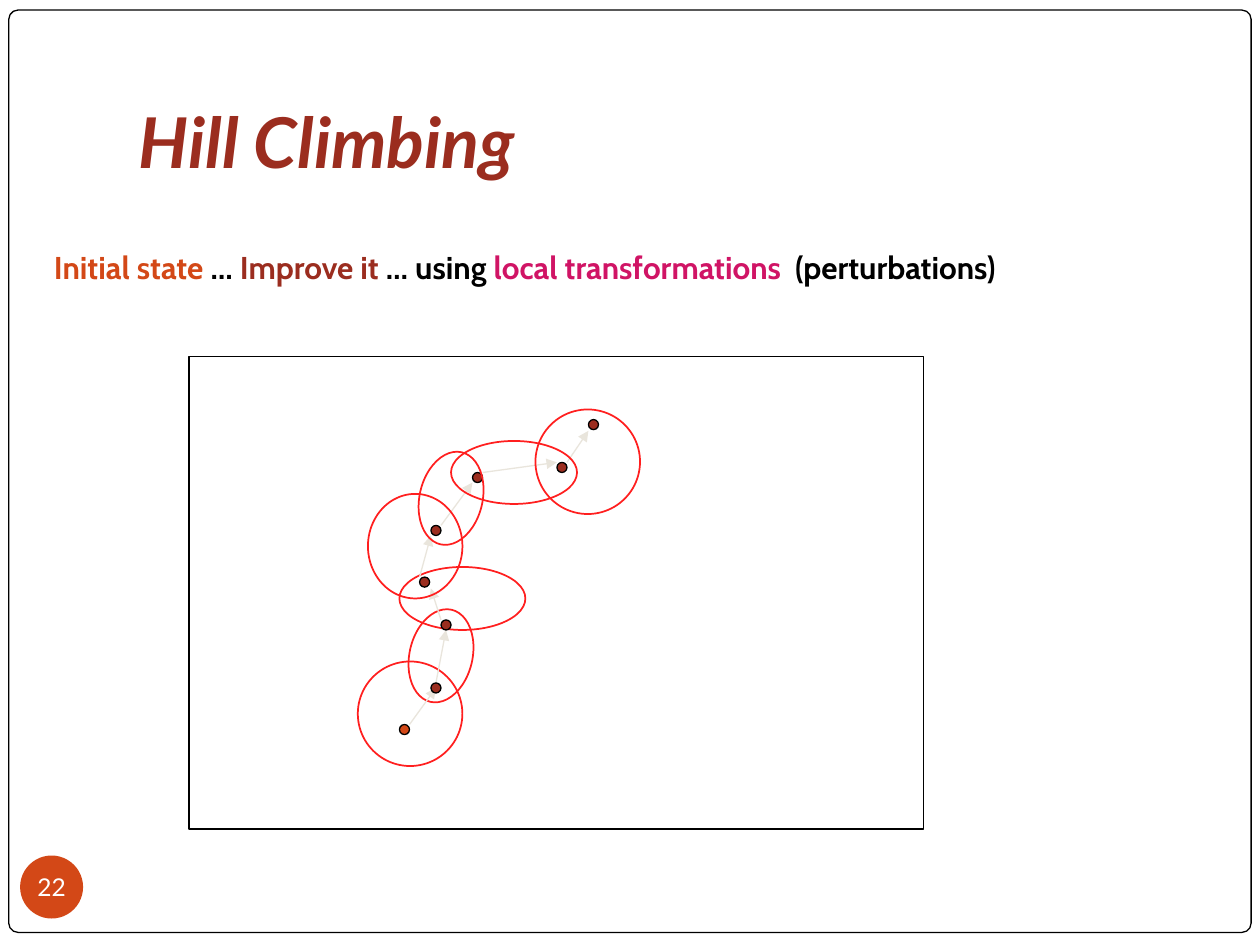
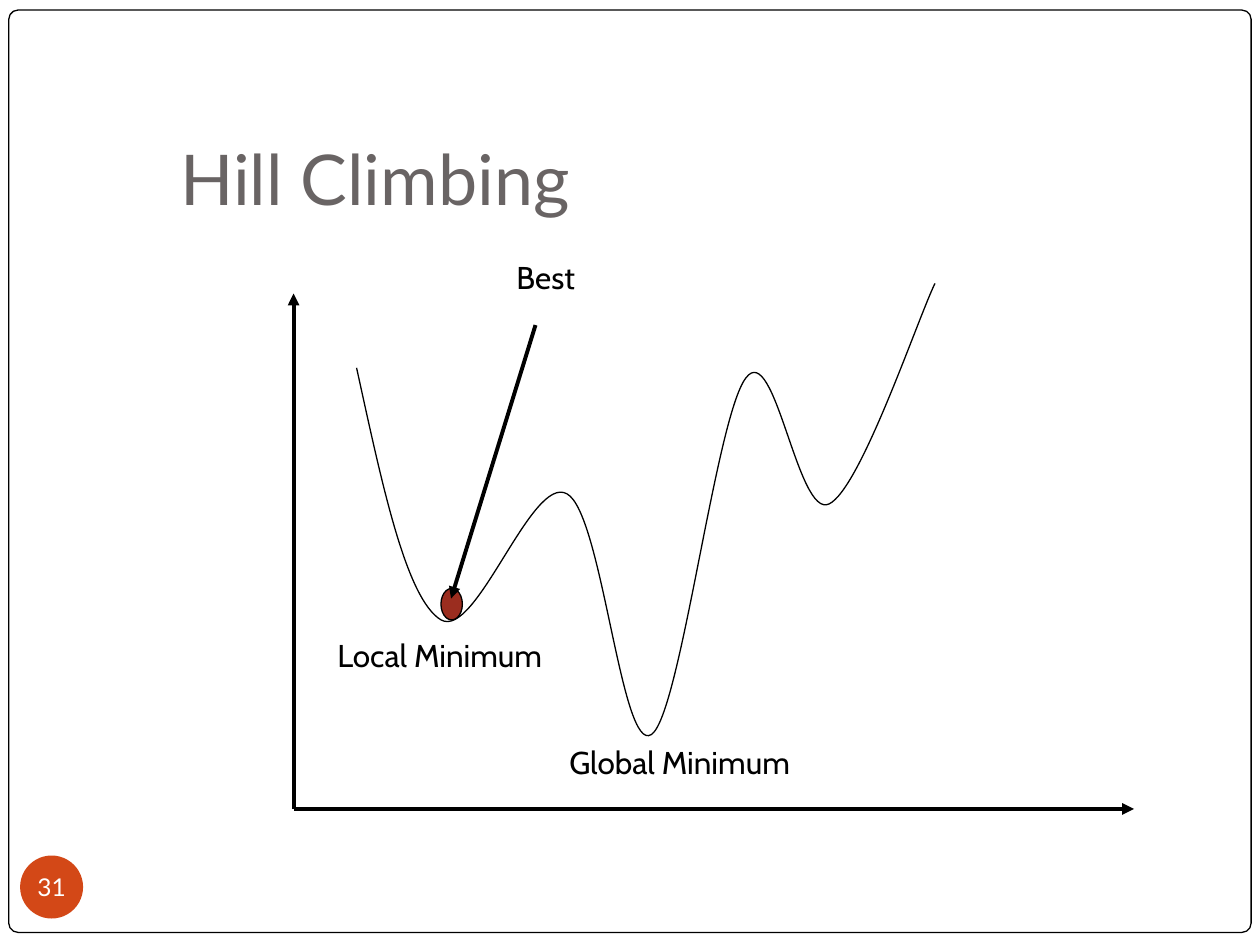
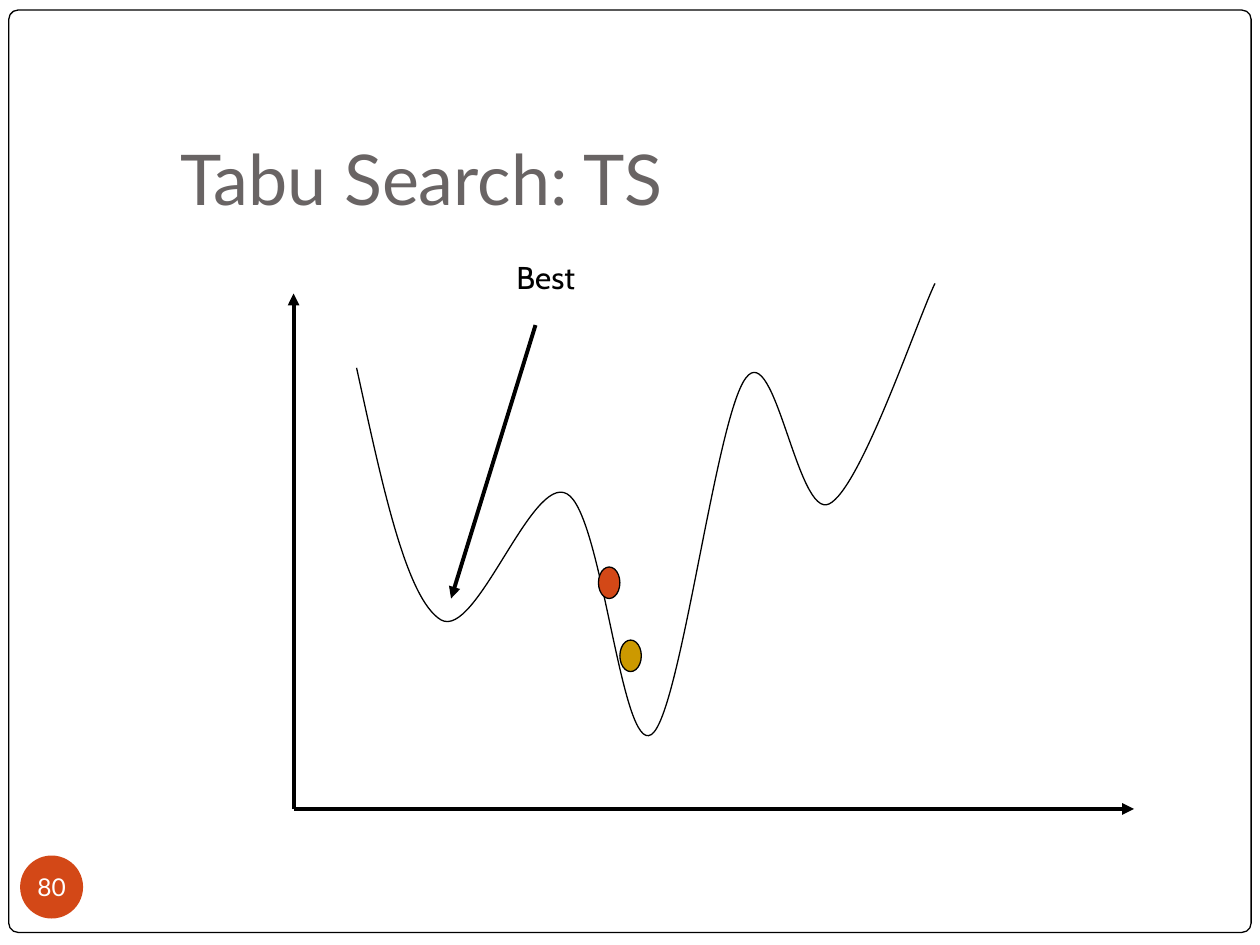
"""Build three slides on hill climbing and tabu search."""
import itertools

import lxml.etree
import pptx
import pptx.dml.color
import pptx.enum.shapes
import pptx.enum.text
import pptx.oxml.ns
import pptx.util

Inches = pptx.util.Inches
Pt = pptx.util.Pt
KIND = pptx.enum.shapes.MSO_SHAPE
ANCHOR = pptx.enum.text.MSO_ANCHOR
ALIGN = pptx.enum.text.PP_ALIGN
FIT = pptx.enum.text.MSO_AUTO_SIZE

HUES = {
    "ink": "000000", "paper": "FFFFFF", "orange": "D34817", "rust": "9B2D1F",
    "gray": "696464", "red": "FF1F1F", "sand": "E9E5DC", "pink": "D01465",
    "gold": "CC9900",
}
HEAD = {"name": "Lato", "size": Pt(40)}
BADGE = {"name": "Lato", "size": Pt(14)}
BODY = {"name": "Cabin", "size": Pt(18)}
BOLD = {**BODY, "bold": True}
INSET = {
    "margin_left": Inches(0.1), "margin_right": Inches(0.1),
    "margin_top": Inches(0.05), "margin_bottom": Inches(0.05),
    "word_wrap": True, "auto_size": FIT.NONE,
}
TIGHT = {
    "margin_left": 0, "margin_right": 0, "margin_top": 0, "margin_bottom": 0,
    "word_wrap": False, "vertical_anchor": ANCHOR.MIDDLE,
}

DOT = 0.08
DOTS = [
    (3.17, 5.75), (3.42, 5.42), (3.5, 4.92), (3.33, 4.58),
    (3.42, 4.17), (3.75, 3.75), (4.42, 3.67), (4.67, 3.33),
]
STEPS = [
    ((3.25, 5.75), (3.46, 5.46)), ((3.46, 5.42), (3.54, 5)),
    ((3.5, 4.92), (3.42, 4.67)), ((3.33, 4.58), (3.42, 4.25)),
    ((3.5, 4.17), (3.75, 3.83)), ((3.83, 3.75), (4.42, 3.67)),
    ((4.5, 3.67), (4.67, 3.42)),
]
LOWER = [
    ((2.84, 5.25, 0.83, 0.83), 0), ((3.25, 4.83, 0.5, 0.75), 13),
    ((3.17, 4.5, 1, 0.5), 0),
]
UPPER = [
    ((2.92, 3.92, 0.75, 0.83), 0), ((3.33, 3.58, 0.5, 0.75), 13),
    ((3.58, 3.5, 1, 0.5), 0), ((4.25, 3.25, 0.83, 0.83), 0),
]
START = (2.83, 2.92)
BENDS = [
    ((3.03, 3.83), (3.22, 4.75), (3.5, 4.92)),
    ((3.78, 5.08), (4.22, 3.76), (4.5, 3.92)),
    ((4.78, 4.07), (4.93, 5.99), (5.17, 5.83)),
    ((5.4, 5.68), (5.68, 3.31), (5.92, 3)),
    ((6.15, 2.69), (6.33, 4.12), (6.58, 4)),
    ((6.83, 3.88), (7.28, 2.54), (7.42, 2.25)),
]


def hue(key):
    return pptx.dml.color.RGBColor.from_string(HUES[key])


def format(item, vals):
    for key, val in vals.items():
        setattr(item, key, val)


def place(item, box):
    names = ("left", "top", "width", "height")
    format(item, dict(zip(names, map(Inches, box))))


def write(par, text, font, tint):
    run = par.add_run()
    run.text = text
    format(run.font, font)
    run.font.color.rgb = hue(tint)


def paint(shape, fill, line, width):
    shape.shadow.inherit = False
    if fill:
        shape.fill.solid()
        shape.fill.fore_color.rgb = hue(fill)
    else:
        shape.fill.background()
    if line:
        shape.line.color.rgb = hue(line)
        shape.line.width = Pt(width)
    else:
        shape.line.fill.background()


def draw(shapes, kind, box, fill=None, line="ink", width=0.75):
    shape = shapes.add_shape(kind, *map(Inches, box))
    paint(shape, fill, line, width)
    return shape


def arrow(shapes, start, end, tint="ink", width=2.25):
    link = shapes.add_connector(
        pptx.enum.shapes.MSO_CONNECTOR.STRAIGHT, *map(Inches, start + end))
    link.line.color.rgb = hue(tint)
    link.line.width = Pt(width)
    name = pptx.oxml.ns.qn
    props = link.element.spPr
    lxml.etree.SubElement(
        props.find(name("a:ln")), name("a:tailEnd"), type="triangle")
    lxml.etree.SubElement(props, name("a:effectLst"))


def curve(shapes, start, bends):
    pen = shapes.build_freeform(*map(Inches, start))
    knots = itertools.chain.from_iterable(bends)
    pen.add_line_segments([tuple(map(Inches, knot)) for knot in knots], close=False)
    shape = pen.convert_to_shape()
    paint(shape, None, "ink", 0.75)
    name = pptx.oxml.ns.qn
    route = next(shape.element.iter(name("a:path")))
    lines = route.findall(name("a:lnTo"))
    for first in range(0, len(lines), 3):
        bend = lxml.etree.SubElement(route, name("a:cubicBezTo"))
        for line in lines[first:first + 3]:
            bend.append(line[0])
            route.remove(line)


def label(slide, box, runs, font=BODY):
    text = slide.shapes.add_textbox(*map(Inches, box)).text_frame
    format(text, INSET)
    for words, tint in runs:
        write(text.paragraphs[0], words, font, tint)


def page(deck, text, box, number, tint="gray", style=None):
    slide = deck.slides.add_slide(deck.slide_layouts[5])
    title = slide.shapes.title
    place(title, box)
    format(title.text_frame, {
        **INSET, "margin_bottom": Inches(0.1), "vertical_anchor": ANCHOR.BOTTOM})
    par = title.text_frame.paragraphs[0]
    par.alignment = ALIGN.LEFT
    write(par, text, {**HEAD, **(style or {})}, tint)
    frame = draw(slide.shapes, KIND.ROUNDED_RECTANGLE,
                 (0.07, 0.08, 9.86, 7.32), "paper")
    frame.adjustments[0] = 0.01
    title.element.addprevious(frame.element)
    badge = draw(slide.shapes, KIND.OVAL, (0.16, 6.79, 0.5, 0.5), "orange", None)
    format(badge.text_frame, TIGHT)
    par = badge.text_frame.paragraphs[0]
    par.alignment = ALIGN.CENTER
    write(par, str(number), BADGE, "paper")
    return slide


def rings(shapes, zones):
    for box, turn in zones:
        draw(shapes, KIND.OVAL, box, line="red", width=1).rotation = turn


def trail(slide):
    draw(slide.shapes, KIND.RECTANGLE, (1.5, 2.83, 5.83, 3.75))
    shapes = slide.shapes.add_group_shape().shapes
    rings(shapes, LOWER)
    for start, end in STEPS:
        arrow(shapes, start, end, "sand", 0.75)
    for spot, (left, top) in enumerate(DOTS):
        draw(shapes, KIND.OVAL, (left, top, DOT, DOT), "rust" if spot else "orange")
    rings(shapes, UPPER)


def graph(slide, balls):
    base = (2.33, 6.42)
    arrow(slide.shapes, base, (2.33, 2.33))
    arrow(slide.shapes, base, (9, 6.42))
    curve(slide.shapes, START, BENDS)
    for left, top, tint in balls:
        draw(slide.shapes, KIND.OVAL, (left, top, 0.17, 0.25), tint)
    arrow(slide.shapes, (4.25, 2.58), (3.58, 4.75))
    label(slide, (4, 2, 1.17, 0.4), [("Best", "ink")])


def main():
    deck = pptx.Presentation()
    format(deck, {"slide_width": Inches(10), "slide_height": Inches(7.5)})

    slide = page(deck, "Hill Climbing", (1, 0.5, 8.5, 1.05), 22, "rust",
                 {"bold": True, "italic": True})
    trail(slide)
    label(slide, (0.33, 1.92, 9.42, 0.4), [
        ("Initial state", "orange"), (" … ", "ink"), ("Improve it", "rust"),
        (" … using ", "ink"), ("local transformations", "pink"),
        ("  (perturbations)", "ink")], BOLD)

    box = (1.33, 0.94, 8.52, 0.9)
    slide = page(deck, "Hill Climbing", box, 31)
    graph(slide, [(3.5, 4.67, "rust")])
    label(slide, (2.58, 5, 1.92, 0.4), [("Local Minimum", "ink")])
    label(slide, (4.42, 5.85, 2.17, 0.4), [("Global Minimum", "ink")])

    slide = page(deck, "Tabu Search: TS", box, 80)
    graph(slide, [(4.92, 5.08, "gold"), (4.75, 4.5, "orange")])

    deck.save("out.pptx")


if __name__ == "__main__":
    main()
